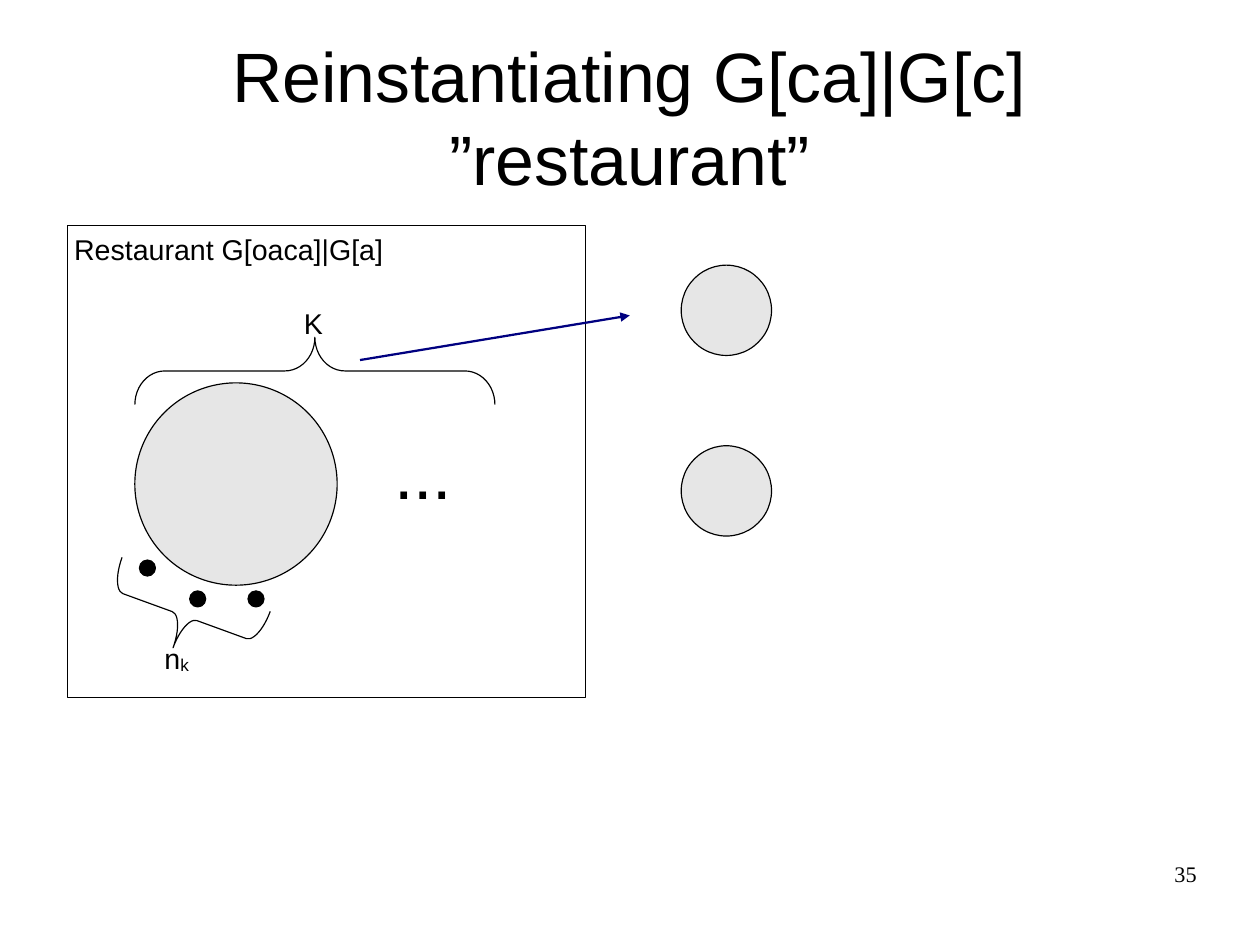
from lxml.etree import SubElement
from pptx import Presentation
from pptx.dml.color import RGBColor
from pptx.enum.shapes import MSO_CONNECTOR, MSO_SHAPE
from pptx.enum.text import MSO_ANCHOR, MSO_AUTO_SIZE, PP_ALIGN
from pptx.oxml.ns import qn
from pptx.util import Inches, Pt

BLACK = RGBColor(0, 0, 0)
GRAY = RGBColor(0xE6, 0xE6, 0xE6)
NAVY = RGBColor(0, 0, 0x80)

# Page of 28 by 21 centimetres, in inches
PAGE_SIZE = (28 / 2.54, 21 / 2.54)

# Content: text, then left, top, width, height in inches
TITLE = "Reinstantiating G[ca]|G[c] ”restaurant”"
TITLE_BOX = (0.55, 0.33, 9.92, 1.37)
RESTAURANT = (0.59, 1.97, 4.53, 4.13)
LABELS = [
    ("Restaurant G[oaca]|G[a]", 18, (0.55, 1.98, 2.96, 0.38)),
    ("K", 18, (2.56, 2.63, 0.36, 0.38)),
    ("...", 44, (3.35, 3.71, 0.71, 0.78)),
    ("n", 18, (1.34, 5.55, 0.47, 0.46)),
]
SUBSCRIPT = "k"
PAGE_NUMBER = "35"
NUMBER_BOX = (7.9, 7.53, 2.57, 0.57)

# Circles: left, top, diameter, fill
CIRCLES = [
    (1.18, 3.35, 1.77, GRAY),
    (5.96, 2.32, 0.79, GRAY),
    (5.96, 3.9, 0.79, GRAY),
    (1.66, 5.17, 0.14, BLACK),
    (2.17, 5.17, 0.14, BLACK),
    (1.22, 4.9, 0.14, BLACK),
]
# Braces: box before turning, rotation in degrees
BRACES = [((2.46, 1.67, 0.59, 3.15), 270), ((1.32, 4.7, 0.59, 1.38), 110)]
ARROW = (3.15, 3.15, 5.51, 2.76)


def inches(values):
    return [Inches(value) for value in values]


def add_outline(page, kind, box, fill=None):
    shape = page.shapes.add_shape(kind, *inches(box))
    shape.shadow.inherit = False
    if fill is None:
        shape.fill.background()
    else:
        shape.fill.solid()
        shape.fill.fore_color.rgb = fill
    shape.line.color.rgb = BLACK
    shape.line.width = Pt(0)
    return shape


def add_span(para, text, size, font="Arial"):
    span = para.add_run()
    span.text = text
    for name, value in {"name": font, "size": Pt(size)}.items():
        setattr(span.font, name, value)
    span.font.color.rgb = BLACK
    return span


def set_frame(frame, margins=(0, 0), **settings):
    across, down = inches(margins)
    formats = {"margin_left": across, "margin_right": across,
               "margin_top": down, "margin_bottom": down,
               "auto_size": MSO_AUTO_SIZE.NONE, "word_wrap": True, **settings}
    for name, value in formats.items():
        setattr(frame, name, value)
    return frame.paragraphs[0]


def main():
    deck = Presentation()
    deck.slide_width, deck.slide_height = inches(PAGE_SIZE)
    page = deck.slides.add_slide(deck.slide_layouts[5])

    # Title
    title = page.shapes.title
    title.left, title.top, title.width, title.height = inches(TITLE_BOX)
    para = set_frame(title.text_frame, vertical_anchor=MSO_ANCHOR.MIDDLE)
    para.alignment = PP_ALIGN.CENTER
    add_span(para, TITLE, 44)

    # Restaurant, tables and customers
    add_outline(page, MSO_SHAPE.RECTANGLE, RESTAURANT)
    for left, top, diameter, fill in CIRCLES:
        add_outline(page, MSO_SHAPE.OVAL, (left, top, diameter, diameter), fill)

    # Braces, each bend a twelfth of the length
    for box, rotation in BRACES:
        brace = add_outline(page, MSO_SHAPE.RIGHT_BRACE, box)
        brace.rotation = rotation
        width, length = box[2:]
        brace.adjustments[0] = length / 12 / width

    # Labels
    for text, size, box in LABELS:
        label = page.shapes.add_textbox(*inches(box))
        para = set_frame(label.text_frame, (0.1, 0.05), word_wrap=False,
                         auto_size=MSO_AUTO_SIZE.SHAPE_TO_FIT_TEXT)
        para.alignment = PP_ALIGN.LEFT
        add_span(para, text, size)
        if text == "n":
            index = add_span(para, SUBSCRIPT, 18.6)
            index.font._element.set("baseline", "-8000")

    # Arrow to the new tables
    arrow = page.shapes.add_connector(MSO_CONNECTOR.STRAIGHT, *inches(ARROW))
    arrow.line.color.rgb = NAVY
    arrow.line.width = Pt(1.42)
    SubElement(arrow.line._get_or_add_ln(), qn("a:tailEnd"), type="triangle")
    SubElement(arrow._element.spPr, qn("a:effectLst"))

    # Page number
    number = page.shapes.add_textbox(*inches(NUMBER_BOX))
    para = set_frame(number.text_frame)
    para.alignment = PP_ALIGN.RIGHT
    add_span(para, PAGE_NUMBER, 14, "Times New Roman")

    deck.save("out.pptx")


if __name__ == "__main__":
    main()
